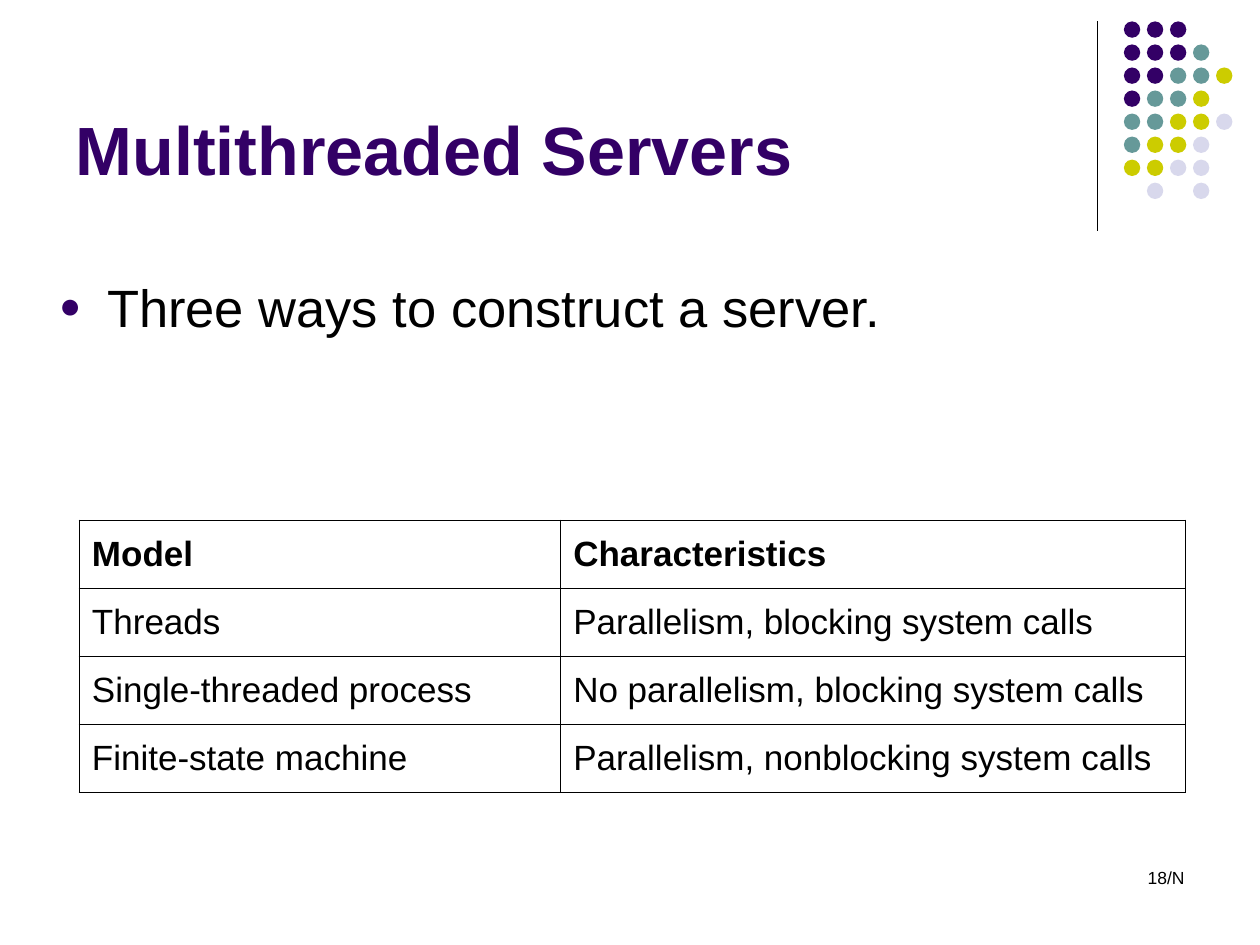
from dataclasses import dataclass
from typing import Any

from pptx import Presentation
from pptx.dml.color import RGBColor
from pptx.enum.shapes import MSO_CONNECTOR, MSO_SHAPE
from pptx.enum.text import MSO_ANCHOR, MSO_AUTO_SIZE, PP_ALIGN
from pptx.oxml.ns import qn
from pptx.util import Emu, Inches, Pt
from lxml.etree import SubElement

# The page is a grid of 100 columns by 75 rows of square units.
UNIT = Inches(0.1)
COLUMNS, ROWS = 100, 75

PURPLE, TEAL, OLIVE, LILAC = "330066", "669999", "CCCC00", "D8D8EC"
BLACK, WHITE = "000000", "FFFFFF"
DOT_COLOURS = {"P": PURPLE, "T": TEAL, "O": OLIVE, "L": LILAC}
DOT_ROWS = ["PPP", "PPPT", "PPTTO", "PTTO", "TTOOL", "TOOL", "OOLL", " L L"]
DOT_LEFT, DOT_TOP, DOT_SIZE = 89.2, 1.7, 1.3
DOT_PITCH = 12.8 / 7

MODELS = [
    ("Model", "Characteristics"),
    ("Threads", "Parallelism, blocking system calls"),
    ("Single-threaded process", "No parallelism, blocking system calls"),
    ("Finite-state machine", "Parallelism, nonblocking system calls"),
]
MODEL_COLUMNS = (38.2, 49.6)
MODEL_ROW = 5.4
OUTER_LINE, INNER_LINE = 1.08, 0.45


@dataclass(frozen=True)
class Area:
    left: float
    top: float
    width: float
    height: float

    def lengths(self) -> tuple[Emu, Emu, Emu, Emu]:
        return units(self.left), units(self.top), units(self.width), units(self.height)


@dataclass(frozen=True)
class Style:
    size: float
    colour: str = BLACK
    bold: bool = False
    align: PP_ALIGN = PP_ALIGN.LEFT
    anchor: MSO_ANCHOR = MSO_ANCHOR.TOP


TITLE = Style(39, PURPLE, bold=True, anchor=MSO_ANCHOR.BOTTOM)
BODY = Style(30)
NUMBER = Style(10, align=PP_ALIGN.RIGHT)


def units(count: float) -> Emu:
    return Emu(round(count * UNIT))


def colour(value: str) -> RGBColor:
    return RGBColor.from_string(value)


def set_attributes(target: Any, values: dict[str, Any]) -> None:
    for name, value in values.items():
        setattr(target, name, value)


def style_paragraph(para: Any, text: str, style: Style) -> None:
    span = para.add_run()
    span.text = text
    para.alignment = style.align
    set_attributes(span.font, {"name": "Arial", "size": Pt(style.size), "bold": style.bold})
    span.font.color.rgb = colour(style.colour)


def fill_box(box: Any, area: Area, text: str, style: Style) -> Any:
    """Place a text shape, write its one paragraph and return that paragraph."""
    set_attributes(box, dict(zip(("left", "top", "width", "height"), area.lengths())))
    set_attributes(box.text_frame, {
        "word_wrap": True,
        "auto_size": MSO_AUTO_SIZE.NONE,
        "vertical_anchor": style.anchor,
    })
    para = box.text_frame.paragraphs[0]
    style_paragraph(para, text, style)
    return para


def add_bullet(para: Any) -> None:
    properties = para._p.get_or_add_pPr()
    indent = Inches(0.38)
    properties.set("marL", str(indent))
    properties.set("indent", str(-indent))
    tint = SubElement(properties, qn("a:buClr"))
    SubElement(tint, qn("a:srgbClr"), val=PURPLE)
    SubElement(properties, qn("a:buSzPct"), val="70000")
    SubElement(properties, qn("a:buFont"), typeface="Arial")
    SubElement(properties, qn("a:buChar"), char="●")


def add_divider(page: Any, column: float, top: float, bottom: float) -> None:
    line = page.shapes.add_connector(
        MSO_CONNECTOR.STRAIGHT, units(column), units(top), units(column), units(bottom))
    line.line.color.rgb = colour(BLACK)
    line.line.width = Pt(0.75)
    SubElement(line._element.spPr, qn("a:effectLst"))


def add_dots(page: Any) -> None:
    group = page.shapes.add_group_shape()
    for row, marks in enumerate(DOT_ROWS):
        for column, mark in enumerate(marks):
            if mark == " ":
                continue
            area = Area(DOT_LEFT + column * DOT_PITCH, DOT_TOP + row * DOT_PITCH,
                        DOT_SIZE, DOT_SIZE)
            dot = group.shapes.add_shape(MSO_SHAPE.OVAL, *area.lengths())
            dot.shadow.inherit = False
            dot.fill.solid()
            dot.fill.fore_color.rgb = colour(DOT_COLOURS[mark])
            dot.line.fill.background()


def set_borders(cell: Any, outer_sides: dict[str, bool]) -> None:
    """Draw each side of a cell, thicker where it is on the table's edge."""
    properties = cell._tc.get_or_add_tcPr()
    for position, (side, outer) in enumerate(outer_sides.items()):
        width = Pt(OUTER_LINE if outer else INNER_LINE)
        border = properties.makeelement(qn(f"a:ln{side}"), {"w": str(width)})
        fill = SubElement(border, qn("a:solidFill"))
        SubElement(fill, qn("a:srgbClr"), val=BLACK)
        properties.insert(position, border)


def add_models(page: Any, left: float, top: float) -> None:
    area = Area(left, top, sum(MODEL_COLUMNS), MODEL_ROW * len(MODELS))
    table = page.shapes.add_table(len(MODELS), len(MODEL_COLUMNS), *area.lengths()).table
    for column, width in zip(table.columns, MODEL_COLUMNS):
        column.width = units(width)
    for row, texts in enumerate(MODELS):
        table.rows[row].height = units(MODEL_ROW)
        for column, text in enumerate(texts):
            cell = table.cell(row, column)
            cell.vertical_anchor = MSO_ANCHOR.MIDDLE
            cell.fill.solid()
            cell.fill.fore_color.rgb = colour(WHITE)
            style_paragraph(cell.text_frame.paragraphs[0], text, Style(20, bold=row == 0))
            set_borders(cell, {
                "L": column == 0,
                "R": column == len(MODEL_COLUMNS) - 1,
                "T": row == 0,
                "B": row == len(MODELS) - 1,
            })


def main() -> None:
    deck = Presentation()
    deck.slide_width, deck.slide_height = units(COLUMNS), units(ROWS)
    page = deck.slides.add_slide(deck.slide_layouts[1])
    title, body = page.placeholders

    add_divider(page, 87.1, 1.7, 18.3)
    add_dots(page)
    fill_box(title, Area(5, 1.3, 82.5, 14.2), "Multithreaded Servers", TITLE)
    point = fill_box(body, Area(3.7, 21.3, 92.5, 9.2), "Three ways to construct a server.", BODY)
    point.space_before = Pt(0)
    add_bullet(point)
    add_models(page, 6.3, 41.3)
    number_area = Area(71.7, 68.3, 23.3, 5)
    number = page.shapes.add_textbox(*number_area.lengths())
    fill_box(number, number_area, "18/N", NUMBER)
    deck.save("out.pptx")


if __name__ == "__main__":
    main()
